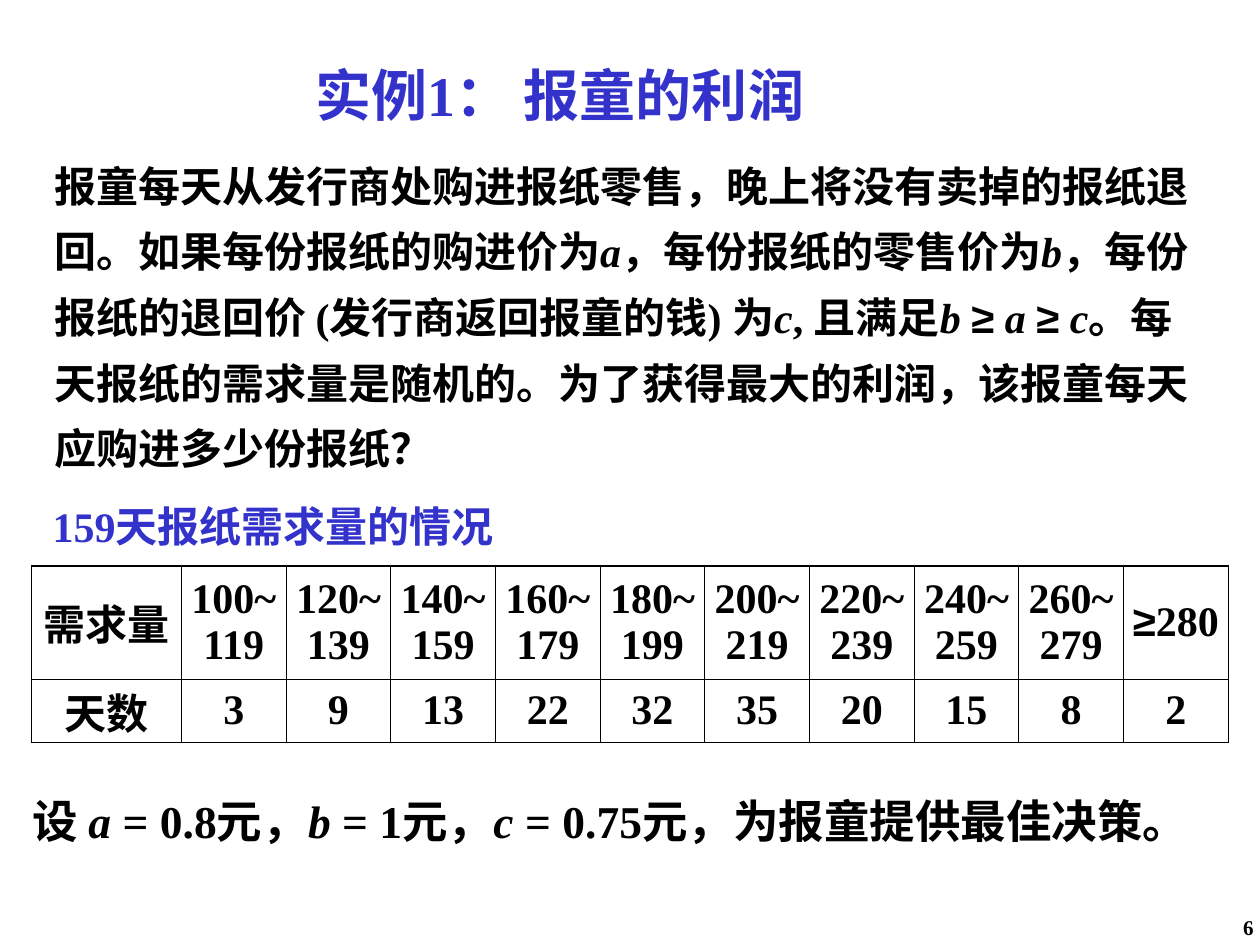
import itertools

import pptx
import pptx.dml.color
import pptx.enum.text
import pptx.oxml
import pptx.oxml.ns
import pptx.util
from pptx.util import Inches

BLACK, BLUE = "000000", "3333CC"
ALIGN = pptx.enum.text.PP_ALIGN
ANCHOR = pptx.enum.text.MSO_ANCHOR

# Asterisks enclose italic variables
PROBLEM = [
    "报童每天从发行商处购进报纸零售，晚上将没有卖掉的报纸退",
    "回。如果每份报纸的购进价为*a*，每份报纸的零售价为*b*，每份",
    "报纸的退回价 (发行商返回报童的钱) 为*c*, 且满足*b *≥* a *≥* c*。每",
    "天报纸的需求量是随机的。为了获得最大的利润，该报童每天",
    "应购进多少份报纸？",
]
QUESTION = "设 *a* = 0.8元，*b* = 1元，*c* = 0.75元，为报童提供最佳决策。"
DAYS = [3, 9, 13, 22, 32, 35, 20, 15, 8, 2]
DEMAND = [f"{low}~{low + 19}" for low in range(100, 280, 20)] + ["≥280"]


def rgb(color):
    return pptx.dml.color.RGBColor.from_string(color)


def write_runs(paragraph, marked_text, size, color=BLACK):
    """Set italics from the asterisks, and Arial for the ≥ sign."""
    for number, part in enumerate(marked_text.split("*")):
        for is_sign, chars in itertools.groupby(part, lambda char: char == "≥"):
            run = paragraph.add_run()
            run.text = "".join(chars)
            run.font.name = "Arial" if is_sign else "Times New Roman"
            run.font.size = pptx.util.Pt(size)
            run.font.bold = True
            run.font.italic = number % 2 == 1
            run.font.color.rgb = rgb(color)


def fill_text(holder, box, lines, size, color=BLACK, align=ALIGN.LEFT,
              line_spacing=1.0, before=0, after=0):
    """Place a text box or placeholder and write its paragraphs."""
    holder.left, holder.top, holder.width, holder.height = map(Inches, box)
    frame = holder.text_frame
    frame.auto_size = pptx.enum.text.MSO_AUTO_SIZE.NONE
    frame.word_wrap = False
    frame.vertical_anchor = ANCHOR.TOP
    for number, line in enumerate(lines):
        paragraph = frame.add_paragraph() if number else frame.paragraphs[0]
        paragraph.alignment = align
        paragraph.line_spacing = line_spacing
        paragraph.space_before = pptx.util.Pt(before)
        paragraph.space_after = pptx.util.Pt(after)
        write_runs(paragraph, line, size, color)
    return frame


def remove_bullets(frame):
    for paragraph in frame.paragraphs:
        properties = paragraph._p.get_or_add_pPr()
        properties.set("marL", "0")
        properties.set("indent", "0")
        properties.append(pptx.oxml.parse_xml(
            f'<a:buNone {pptx.oxml.ns.nsdecls("a")}/>'))


def set_borders(cell, is_top_row):
    """Draw thin cell lines, with a thicker one along the table's top."""
    for side in "LRTB":
        width = pptx.util.Pt(1.08 if side == "T" and is_top_row else 0.45)
        cell._tc.get_or_add_tcPr().append(pptx.oxml.parse_xml(
            f'<a:ln{side} {pptx.oxml.ns.nsdecls("a")} w="{width}"><a:solidFill>'
            f'<a:srgbClr val="{BLACK}"/></a:solidFill></a:ln{side}>'))


def add_demand_table(slide):
    rows = [["需求量", *DEMAND], ["天数", *map(str, DAYS)]]
    classes = len(DEMAND)
    table = slide.shapes.add_table(
        2, classes + 1, Inches(0.25), Inches(4.49), Inches(9.5), Inches(1.4)).table
    table.first_row = table.horz_banding = False
    table.rows[0].height, table.rows[1].height = Inches(0.9), Inches(0.5)
    for number, column in enumerate(table.columns):
        column.width = Inches((9.5 - 1.19) / classes if number else 1.19)

    for r, row in enumerate(rows):
        for c, text in enumerate(row):
            cell = table.cell(r, c)
            margin = 0.06 if c == 0 else (0.1 if r else 0.04)
            cell.margin_left = cell.margin_right = Inches(margin)
            cell.vertical_anchor = ANCHOR.MIDDLE
            set_borders(cell, r == 0)
            cell.fill.background()
            paragraph = cell.text_frame.paragraphs[0]
            paragraph.alignment = ALIGN.CENTER
            write_runs(paragraph, text, 24)

    # The tall Chinese label must not stretch the low second row
    days_label = table.cell(1, 0)
    days_label.margin_top, days_label.margin_bottom = Inches(0.01), 0


def main():
    deck = pptx.Presentation()
    deck.slide_width, deck.slide_height = Inches(10), Inches(7.5)
    slide = deck.slides.add_slide(deck.slide_layouts[1])

    # Title and problem statement, wide enough for their unbroken lines
    fill_text(slide.shapes.title, (2.4, 0.43, 4.4, 0.63),
              ["实例1： 报童的利润"], 32, BLUE, before=20)
    problem = fill_text(slide.placeholders[1], (0.33, 1.14, 9.67, 2.75),
                        PROBLEM, 24, line_spacing=1.2, after=3)
    problem.margin_right = 0
    remove_bullets(problem)

    # Demand table with its caption
    caption = slide.shapes.add_textbox(0, 0, 0, 0)
    fill_text(caption, (0.32, 3.84, 3.93, 0.55), ["159天报纸需求量的情况"],
              24, BLUE, line_spacing=1.2, after=3)
    add_demand_table(slide)

    # Closing question
    question = slide.shapes.add_textbox(0, 0, 0, 0)
    fill_text(question, (0.16, 6.16, 9.55, 0.57), [QUESTION], 26,
              line_spacing=1.2, after=3.3)

    # Page number
    page = slide.shapes.add_textbox(0, 0, 0, 0)
    frame = fill_text(page, (9.6, 7.25, 0.37, 0.22), ["6"], 12, align=ALIGN.RIGHT)
    frame.word_wrap = True
    frame.margin_left = frame.margin_right = Inches(0.02)
    frame.margin_top = frame.margin_bottom = Inches(0.01)

    deck.save("out.pptx")


if __name__ == "__main__":
    main()
